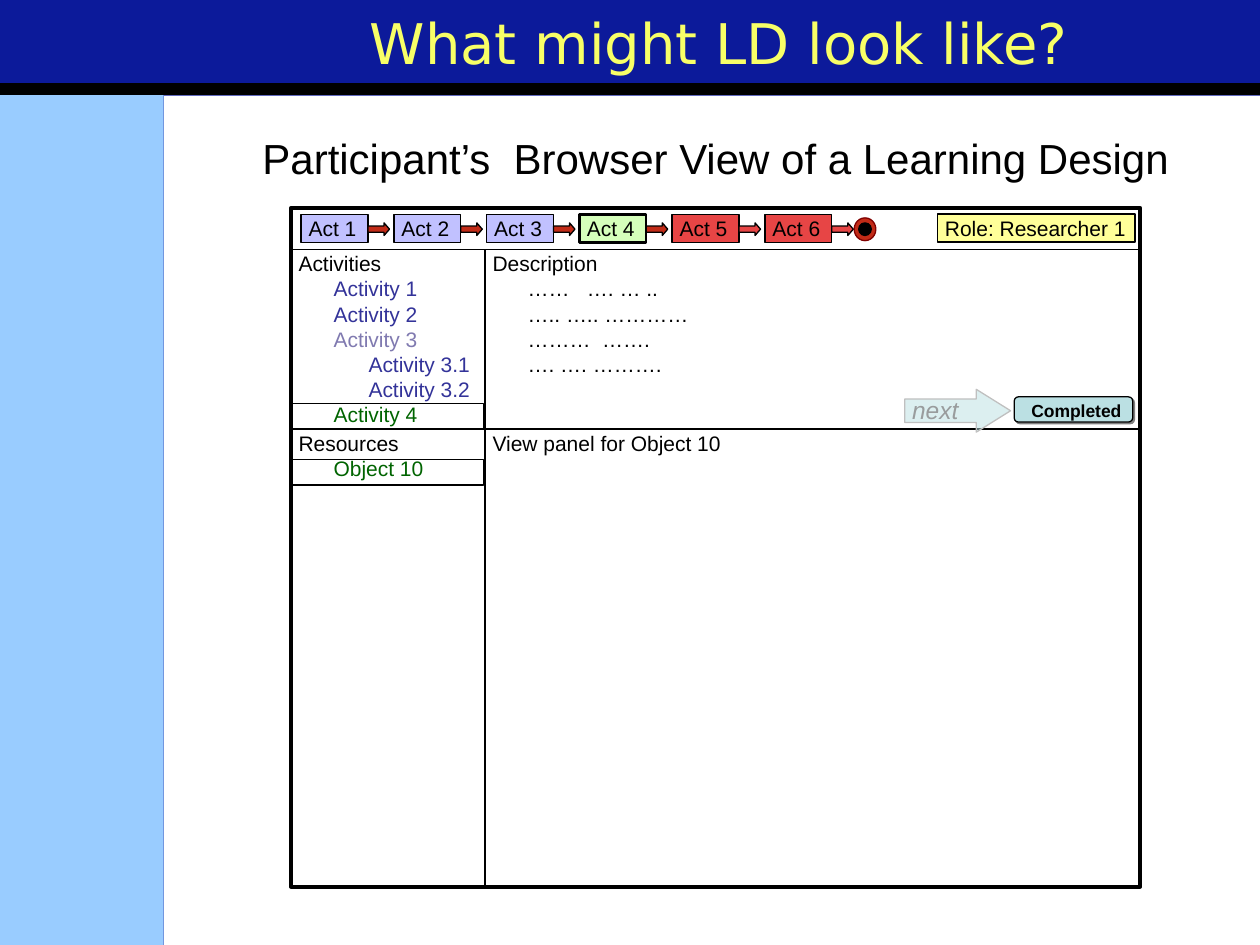
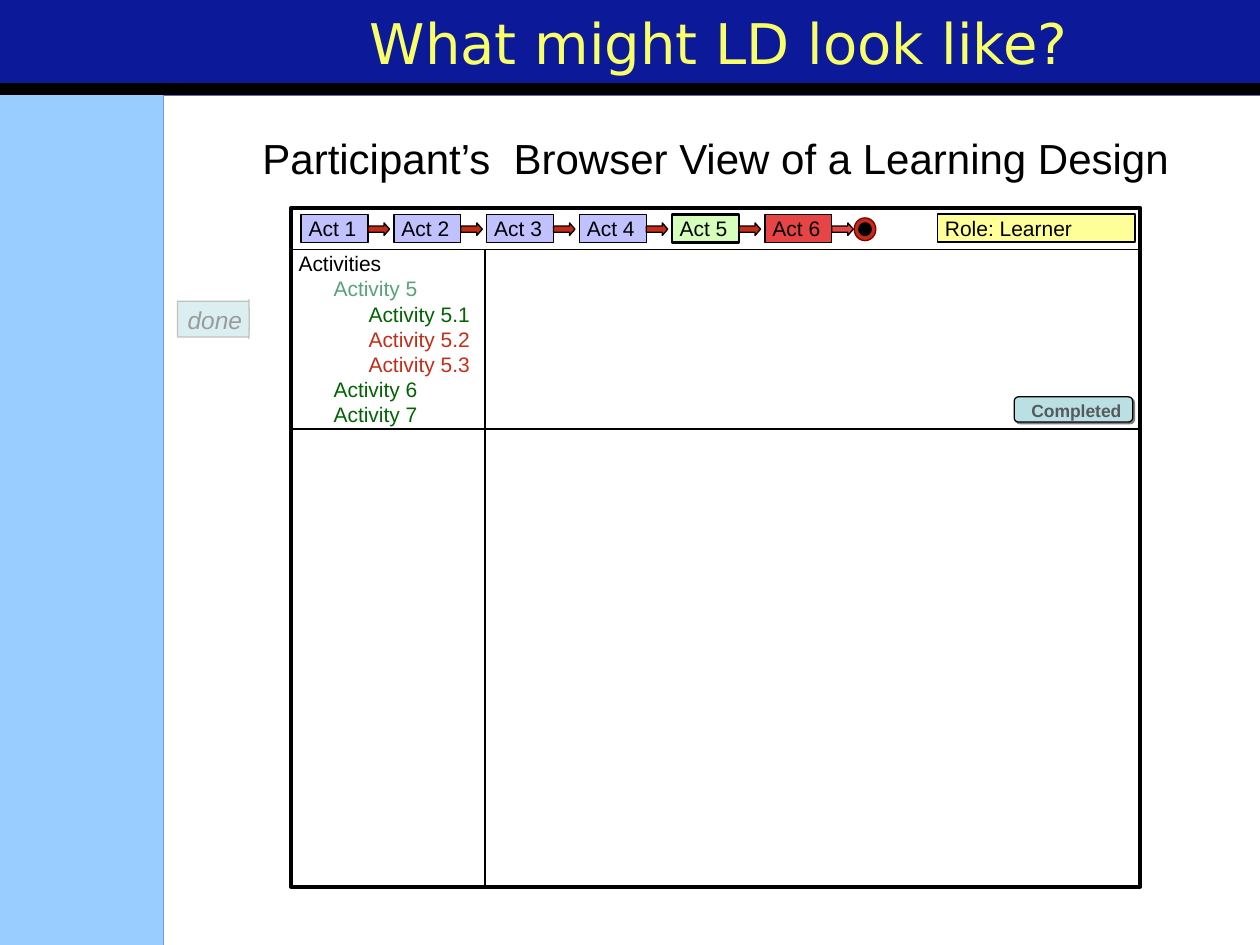
from collections import namedtuple

from lxml import etree
from pptx import Presentation
from pptx.dml.color import RGBColor
from pptx.enum.shapes import MSO_SHAPE
from pptx.enum.text import MSO_ANCHOR, PP_ALIGN
from pptx.oxml.ns import qn
from pptx.util import Pt

RECT = MSO_SHAPE.RECTANGLE
ROUNDED = MSO_SHAPE.ROUNDED_RECTANGLE
ARROW = MSO_SHAPE.RIGHT_ARROW
OVAL = MSO_SHAPE.OVAL
TOP, MIDDLE = MSO_ANCHOR.TOP, MSO_ANCHOR.MIDDLE
LEFT, CENTER, RIGHT = PP_ALIGN.LEFT, PP_ALIGN.CENTER, PP_ALIGN.RIGHT

NAVY, SKY, WHITE, BLACK = "0C1A9A", "99CCFF", "FFFFFF", "000000"
YELLOW, NOTE, TEAL = "F8FF67", "FFFF99", "BBE0E3"
LILAC, MINT, CORAL, BRICK = "C1C1FF", "D5FFBB", "E74545", "C12B17"
INDIGO, DULL_INDIGO = "333399", "807AB0"
GREEN, DULL_GREEN, RED = "006400", "56A479", "C62D18"
MAROON, SILVER, GREY, FADED, DIM = "800000", "C0C0C0", "808080", "999C9D", "575A5B"

TIGHT = (4.3, 0.7)
ROOMY = (7.2, 3.6)
INDENT = 20
ACT_PITCH = 53
ACT_WIDTH = 38.2
SIDE_WIDTH = 110.9
ROW_TOP, ROW_HEIGHT = 23.8, 102.6
LINE_HEIGHT = 14.4

Line = namedtuple("Line", "text level color", defaults=(0, BLACK))


class Box(namedtuple("Box", "left top width height")):
    """A frame in points."""

    def inner(self, left, top, width, height):
        """Return a frame placed relative to this one."""
        return Box(self.left + left, self.top + top, width, height)


def rgb(color):
    """Turn a hex string into a colour."""
    return RGBColor.from_string(color)


def add_figure(page, box, fill=None, edge=None, weight=0.75, kind=RECT, adjust=()):
    """Add a preset shape without shadow."""
    shape = page.shapes.add_shape(kind, *map(Pt, box))
    shape.shadow.inherit = False
    for index, value in enumerate(adjust):
        shape.adjustments[index] = value
    if fill:
        shape.fill.solid()
        shape.fill.fore_color.rgb = rgb(fill)
    else:
        shape.fill.background()
    if edge:
        shape.line.color.rgb = rgb(edge)
        shape.line.width = Pt(weight)
    else:
        shape.line.fill.background()
    return shape


def write(shape, lines, size=12, font="Arial", margins=TIGHT, align=LEFT,
          anchor=TOP, bold=False, italic=False):
    """Fill a shape with indented paragraphs."""
    frame = shape.text_frame
    frame.word_wrap = True
    frame.vertical_anchor = anchor
    frame.margin_left = frame.margin_right = Pt(margins[0])
    frame.margin_top = frame.margin_bottom = Pt(margins[1])
    for index, line in enumerate(lines):
        para = frame.add_paragraph() if index else frame.paragraphs[0]
        para.text = line.text
        para.alignment = align
        if line.level:
            para._p.get_or_add_pPr().set("marL", str(Pt(INDENT * line.level)))
        para.font.name = font
        para.font.size = Pt(size)
        para.font.bold = bold
        para.font.italic = italic
        para.font.color.rgb = rgb(line.color)


def add_label(page, box, text, color=BLACK, **style):
    """Add a text box holding one paragraph."""
    label = page.shapes.add_textbox(*map(Pt, box))
    write(label, [Line(text, 0, color)], **style)


def cast_shadow(shape):
    """Give a shape a hard grey shadow down to the right."""
    effects = shape._element.spPr.find(qn("a:effectLst"))
    shadow = etree.SubElement(effects, qn("a:outerShdw"), blurRad="0",
                              dist=str(Pt(1.4)), dir="2700000", rotWithShape="0")
    etree.SubElement(shadow, qn("a:srgbClr"), val=GREY)


def draw_frame(page, box):
    """Draw the bands, title and subtitle that every slide shares."""
    page.background.fill.solid()
    page.background.fill.fore_color.rgb = rgb(NAVY)
    add_figure(page, box.inner(93.6, 54.7, 626.4, 485.3), WHITE)
    add_figure(page, box.inner(0, 54, 93.6, 486), SKY)
    add_figure(page, box.inner(0, 48, 720, 6), BLACK, BLACK)
    add_label(page, box.inner(149, 0, 534.2, 48), "What might LD look like? ", YELLOW,
              size=32, font="DejaVu Sans", margins=ROOMY, align=CENTER, anchor=MIDDLE)
    add_label(page, box.inner(135.4, 72, 547.2, 36),
              "Participant’s  Browser View of a Learning Design",
              size=24, margins=ROOMY, align=CENTER)


def draw_act_chain(page, box, current, arrow_fills):
    """Draw the six acts, their arrows and the end mark."""
    for index, arrow_fill in enumerate(arrow_fills):
        number = index + 1
        fill = LILAC if number < current else MINT if number == current else CORAL
        act = box.inner(index * ACT_PITCH, 0, ACT_WIDTH, 16)
        shape = add_figure(page, act, fill, BLACK, 1.5 if number == current else 0.75)
        write(shape, [Line(f"Act {number}")])
        add_figure(page, act.inner(ACT_WIDTH, 4.9, 12.3, 7.2), arrow_fill, BLACK,
                   kind=ARROW, adjust=(0.5, 0.43))
    end = box.inner(316, 2, 12.4, 13)
    add_figure(page, end, BRICK, MAROON, kind=OVAL)
    add_figure(page, end.inner(2.6, 2.9, 7.2, 7.2), BLACK, BLACK, kind=OVAL)


def draw_completed(page, box, color):
    """Draw the completed button."""
    button = add_figure(page, box, TEAL, BLACK, kind=ROUNDED, adjust=(0.167,))
    cast_shadow(button)
    add_label(page, box.inner(6.5, -2, 54.7, 19.4), "Completed", color,
              size=10, bold=True, margins=(0, 3.6), align=RIGHT)


def draw_hint(page, box, text, adjust, label_left):
    """Draw a translucent arrow with a faded italic word."""
    arrow = add_figure(page, box, TEAL, SILVER, kind=ARROW, adjust=adjust)
    tint = arrow._element.spPr.find(qn("a:solidFill"))[0]
    etree.SubElement(tint, qn("a:alpha"), val="50000")
    add_label(page, box.inner(label_left, -0.4, 46.1, 24.5), text, FADED,
              size=14, italic=True, margins=ROOMY)


def draw_browser(page, box, current, arrow_fills, role, panels, button_color):
    """Draw the browser window with its act bar and four panels."""
    add_figure(page, box, WHITE, BLACK, 2.25)
    draw_act_chain(page, box.inner(5.8, 3.7, 328.4, 16), current, arrow_fills)
    low_top = ROW_TOP + ROW_HEIGHT
    rows = ((ROW_TOP, ROW_HEIGHT), (low_top, box.height - low_top))
    columns = ((0, SIDE_WIDTH), (SIDE_WIDTH, box.width - SIDE_WIDTH))
    cells = [(left, top, width, height)
             for left, width in columns for top, height in rows]
    for cell, lines in zip(cells, panels):
        panel = add_figure(page, box.inner(*cell), None, BLACK, 1)
        if lines:
            write(panel, lines)
    draw_completed(page, box.inner(413.3, 108, 67.7, 14.4), button_color)
    badge = add_figure(page, box.inner(369.4, 3.7, 113, 16), NOTE, BLACK, 1)
    write(badge, [Line(role)])


def build_researcher(page, box):
    """Build the researcher's view."""
    draw_frame(page, box)
    window = box.inner(166.3, 118.8, 485.3, 387.9)
    activities = [Line("Activities"), Line("Activity 1", 1, INDIGO),
                  Line("Activity 2", 1, INDIGO), Line("Activity 3", 1, DULL_INDIGO),
                  Line("Activity 3.1", 2, INDIGO), Line("Activity 3.2", 2, INDIGO),
                  Line("Activity 4", 1, GREEN)]
    resources = [Line("Resources"), Line("Object 10", 1, GREEN)]
    dotted = ("……   …. … ..", "….. ….. …………", "………  …….", "…. …. ……….")
    description = [Line("Description")] + [Line(text, 1) for text in dotted]
    draw_browser(page, window, 4, [BRICK] * 4 + [CORAL] * 2, "Role: Researcher 1",
                 (activities, resources, description, [Line("View panel for Object 10")]),
                 BLACK)
    for top in (111.6, 144):
        add_figure(page, window.inner(0, top, SIDE_WIDTH - 0.7, LINE_HEIGHT), None, BLACK)
    draw_hint(page, window.inner(350.7, 103.7, 60.5, 24.5), "next", (0.55, 0.8), -2.9)


def build_learner(page, box):
    """Build the learner's view."""
    draw_frame(page, box)
    window = box.inner(166.3, 118.8, 485.3, 387.9)
    activities = [Line("Activities"), Line("Activity 5", 1, DULL_GREEN),
                  Line("Activity 5.1", 2, GREEN), Line("Activity 5.2", 2, RED),
                  Line("Activity 5.3", 2, RED), Line("Activity 6", 1, GREEN),
                  Line("Activity 7", 1, GREEN)]
    draw_browser(page, window, 5, [BRICK] * 3 + [RED] * 2 + [CORAL], "Role: Learner",
                 (activities, None, None, None), DIM)
    draw_hint(page, box.inner(101.5, 171.2, 41, 22.3), "done", (0.92, 0.01), -1.4)


def main():
    """Build and save the deck."""
    deck = Presentation()
    deck.slide_width, deck.slide_height = Pt(720), Pt(540)
    for build in (build_researcher, build_learner):
        build(deck.slides.add_slide(deck.slide_layouts[6]), Box(0, 0, 720, 540))
    deck.save("out.pptx")


if __name__ == "__main__":
    main()
